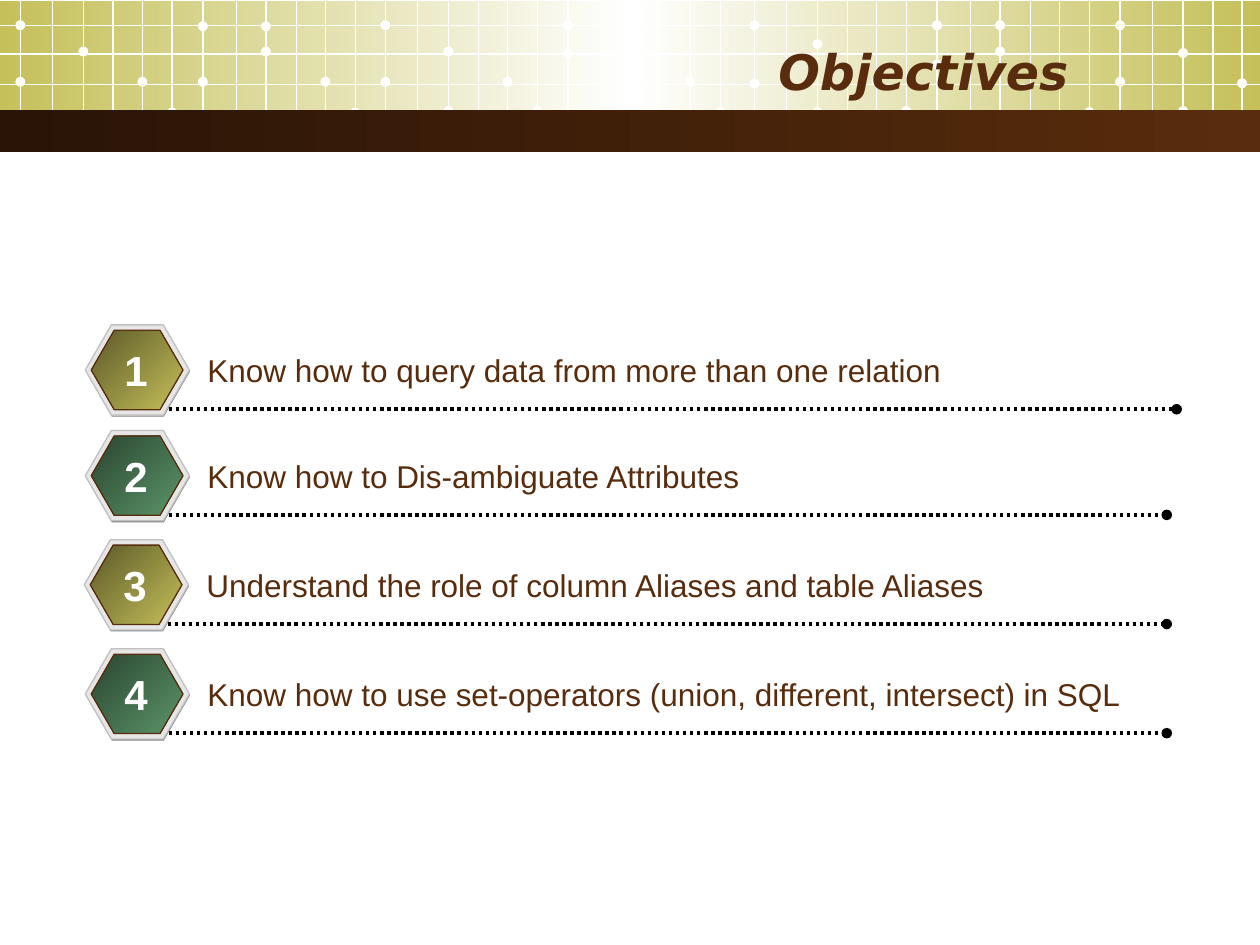
from copy import deepcopy
from dataclasses import dataclass

from pptx import Presentation
from pptx import util as u
from pptx.dml.color import RGBColor
from pptx.enum import dml, shapes, text
from pptx.oxml import ns
from pptx.oxml.xmlchemy import OxmlElement
from pptx.shapes.autoshape import Shape
from pptx.shapes.connector import Connector
from pptx.text.text import TextFrame

WHITE = RGBColor(0xFF, 0xFF, 0xFF)
BLACK = RGBColor(0x00, 0x00, 0x00)
BROWN = RGBColor(0x59, 0x2C, 0x0D)
DARK_BROWN = RGBColor(0x29, 0x14, 0x06)
OLIVE = RGBColor(0xC5, 0xC0, 0x59)
DARK_OLIVE = RGBColor(0x5B, 0x59, 0x29)
GREEN = RGBColor(0x5B, 0x95, 0x69)
DARK_GREEN = RGBColor(0x2A, 0x45, 0x31)
GREY = RGBColor(0x80, 0x80, 0x80)
SILVER = RGBColor(0xC0, 0xC0, 0xC0)
PALE_GREY = RGBColor(0xE6, 0xE6, 0xE6)

SLIDE_WIDTH, SLIDE_HEIGHT = 25.4, 19.05
GRID_BOTTOM = 2.79
DOT_SIZE = 0.2
GRID_COLUMNS = (0, 0.65, 1.27, 1.87, 2.46, 3.06, 3.68, 4.36, 4.95, 5.56, 6.15, 6.75)
GRID_ROWS = (0.51, 1.09, 1.7, 2.26)
DOT_COLUMNS = (0, 0, 2, 2, 4, 5, 6, 6, 8, 8, 10, 11)


@dataclass
class GridBlock:
    left: float
    columns: int
    dot_heights: tuple[float, ...]


@dataclass
class Objective:
    wording: str
    left: float
    top: float
    rule_end: float
    width: float


GRID_BLOCKS = (
    GridBlock(0.41, 12, (1.65, 0.51, 1.04, 2.31, 1.65, 2.27, 1.65, 0.53, 1.04, 0.53, 1.65, 2.27)),
    GridBlock(7.77, 12, (1.65, 0.51, 1.04, 2.24, 1.65, 2.24, 1.09, 0.51, 1.07, 0.51, 1.65, 2.26)),
    GridBlock(15.21, 12, (1.68, 0.51, 0.89, 2.26, 1.63, 2.24, 1.3, 0.51, 1.04, 0.51, 1.65, 2.26)),
    GridBlock(22.58, 5, (1.65, 0.51, 1.07, 2.24, 1.68)),
)
OBJECTIVES = (
    Objective("Know how to query data from more than one relation", 1.72, 6.55, 23.72, 19.76),
    Objective("Know how to Dis-ambiguate Attributes", 1.72, 8.68, 23.52, 19.96),
    Objective("Understand the role of column Aliases and table Aliases", 1.7, 10.88, 23.52, 19.41),
    Objective("Know how to use set-operators (union, different, intersect) in SQL", 1.72, 13.08, 23.52, 19.76),
)
BADGE_GRADIENTS = ((DARK_OLIVE, OLIVE), (DARK_GREEN, GREEN))


def add_preset(parent, kind, left: float, top: float, width: float, height: float,
               colors: tuple[RGBColor, ...], angle: float = 0,
               outline: RGBColor | None = None) -> Shape:
    shape = parent.add_shape(kind, u.Cm(left), u.Cm(top), u.Cm(width), u.Cm(height))
    shape.shadow.inherit = False
    if len(colors) == 1:
        shape.fill.solid()
        shape.fill.fore_color.rgb = colors[0]
    else:
        fill_gradient(shape, colors, angle)
    if outline is None:
        shape.line.fill.background()
    else:
        shape.line.color.rgb = outline
        shape.line.width = u.Pt(0.75)
    return shape


def fill_gradient(shape: Shape, colors: tuple[RGBColor, ...], angle: float) -> None:
    shape.fill.gradient()
    shape.fill.gradient_angle = angle
    stop_list = shape.element.spPr.find(".//" + ns.qn("a:gsLst"))
    while len(stop_list) < len(colors):
        stop_list.append(deepcopy(stop_list[0]))
    for index, (stop, color) in enumerate(zip(shape.fill.gradient_stops, colors)):
        stop.color.rgb = color
        stop.position = index / (len(colors) - 1)


def add_line(parent, start: tuple[float, float], end: tuple[float, float],
             color: RGBColor, weight: float) -> Connector:
    line = parent.add_connector(shapes.MSO_CONNECTOR.STRAIGHT,
                                *(u.Cm(value) for value in (*start, *end)))
    line.line.color.rgb = color
    line.line.width = u.Pt(weight)
    line.element.spPr.append(OxmlElement("a:effectLst"))
    return line


def write(frame: TextFrame, wording: str, size: float, color: RGBColor,
          align: text.PP_ALIGN, font: str = "Arial", bold: bool = False,
          italic: bool = False) -> None:
    paragraph = frame.paragraphs[0]
    paragraph.alignment = align
    run = paragraph.add_run()
    run.text = wording
    run.font.name = font
    run.font.size = u.Pt(size)
    run.font.bold = bold
    run.font.italic = italic
    run.font.color.rgb = color


def add_label(parent, left: float, top: float, width: float, height: float,
              wrap: bool) -> TextFrame:
    label = parent.add_textbox(u.Cm(left), u.Cm(top), u.Cm(width), u.Cm(height))
    label.text_frame.word_wrap = wrap
    label.text_frame.auto_size = text.MSO_AUTO_SIZE.SHAPE_TO_FIT_TEXT
    return label.text_frame


def add_header(parent) -> None:
    rectangle = shapes.MSO_SHAPE.RECTANGLE
    add_preset(parent, rectangle, 0, 0.02, SLIDE_WIDTH, 2.6, (OLIVE, WHITE, OLIVE))
    grid = parent.add_group_shape().shapes
    for block in GRID_BLOCKS:
        for offset in GRID_COLUMNS[:block.columns]:
            x = block.left + offset
            add_line(grid, (x, 0), (x, GRID_BOTTOM), WHITE, 0.75)
        for column, y in zip(DOT_COLUMNS, block.dot_heights):
            x = block.left + GRID_COLUMNS[column]
            add_preset(grid, shapes.MSO_SHAPE.OVAL, x - DOT_SIZE / 2, y - DOT_SIZE / 2,
                       DOT_SIZE, DOT_SIZE, (WHITE,))
    for y in GRID_ROWS:
        add_line(grid, (0, y), (SLIDE_WIDTH, y), WHITE, 0.75)
    add_preset(parent, rectangle, 0, 2.22, SLIDE_WIDTH, 0.85, (DARK_BROWN, BROWN))


def add_badge(parent, left: float, top: float, gradient: tuple[RGBColor, ...]) -> None:
    badge = parent.add_group_shape().shapes
    layers = (
        (left + 0.01, top + 0.03, 2.1, 1.82, (GREY,), None),
        (left, top, 2.1, 1.82, (PALE_GREY,), SILVER),
        (left + 0.12, top + 0.11, 1.85, 1.6, gradient, BROWN),
    )
    for x, y, width, height, colors, outline in layers:
        hexagon = add_preset(badge, shapes.MSO_SHAPE.HEXAGON, x, y, width, height,
                             colors, 315, outline)
        hexagon.adjustments[0] = 0.289


def add_objective(parent, number: int, objective: Objective) -> None:
    left, top = objective.left, objective.top
    add_badge(parent, left, top, BADGE_GRADIENTS[(number - 1) % 2])
    rule_y = top + 1.7
    rule = add_line(parent, (left + 1.68, rule_y), (objective.rule_end, rule_y), BLACK, 2)
    rule.line.dash_style = dml.MSO_LINE.ROUND_DOT
    tail = OxmlElement("a:tailEnd")
    tail.set("type", "oval")
    rule.line._get_or_add_ln().append(tail)
    wording = add_label(parent, left + 2.21, top + 0.41, objective.width, 1.02, True)
    write(wording, objective.wording, 18, BROWN, text.PP_ALIGN.LEFT)
    numeral = add_label(parent, left + 0.54, top + 0.27, 0.97, 1.27, False)
    write(numeral, str(number), 24, WHITE, text.PP_ALIGN.CENTER, bold=True)


def main() -> None:
    deck = Presentation()
    deck.slide_width, deck.slide_height = u.Cm(SLIDE_WIDTH), u.Cm(SLIDE_HEIGHT)
    slide = deck.slides.add_slide(deck.slide_layouts[5])
    add_header(slide.shapes)
    title = slide.shapes.title
    title.left, title.top = u.Cm(1.27), u.Cm(0.64)
    title.width, title.height = u.Cm(20.52), u.Cm(1.58)
    title.text_frame.auto_size = text.MSO_AUTO_SIZE.NONE
    title.text_frame.vertical_anchor = text.MSO_ANCHOR.MIDDLE
    write(title.text_frame, "Objectives", 28, BROWN, text.PP_ALIGN.RIGHT,
          "DejaVu Sans", bold=True, italic=True)
    title.element.getparent().append(title.element)
    for number, objective in enumerate(OBJECTIVES, 1):
        add_objective(slide.shapes, number, objective)
    deck.save("out.pptx")


if __name__ == "__main__":
    main()
